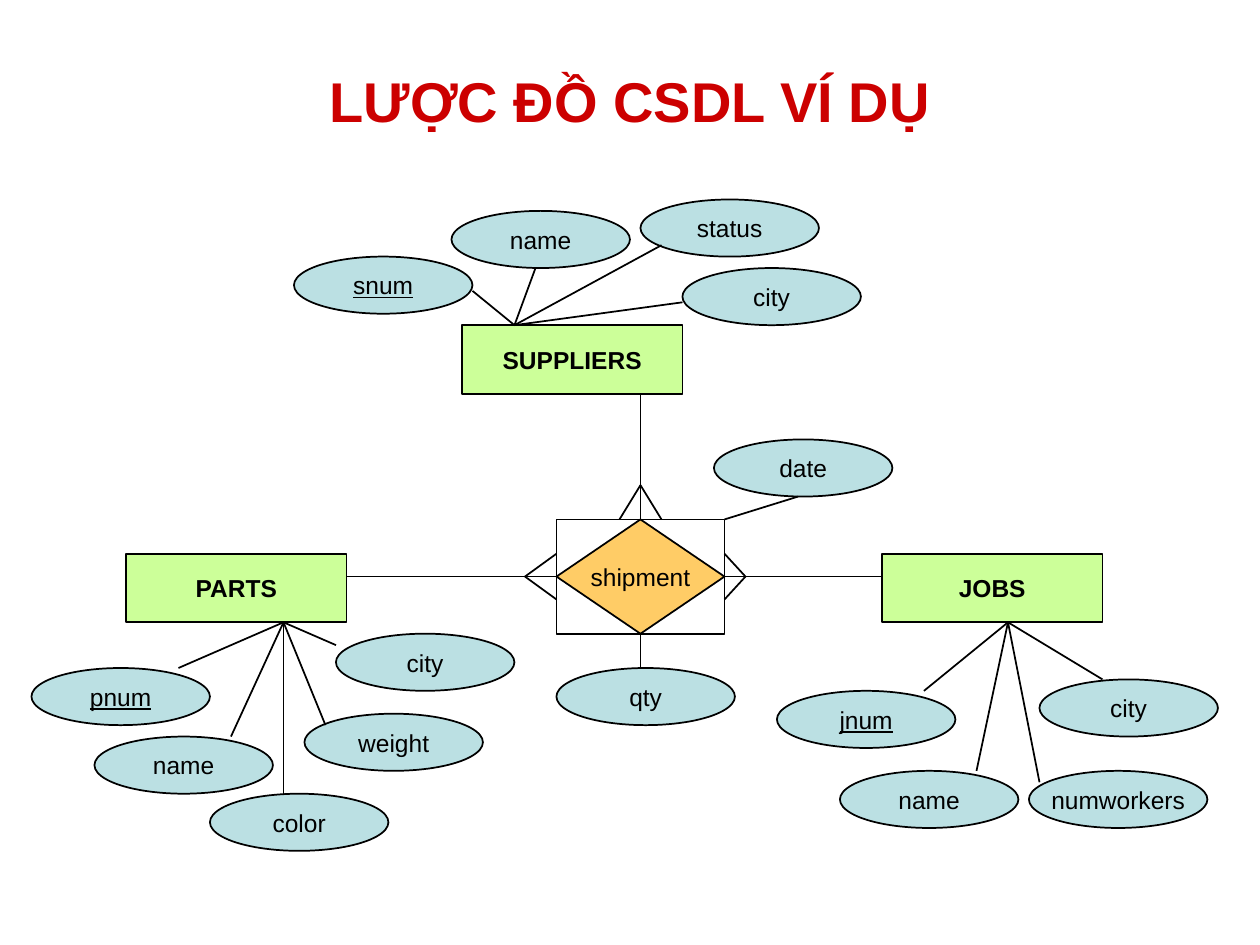
from lxml import etree
from pptx import Presentation
from pptx.dml.color import RGBColor
from pptx.enum.shapes import MSO_CONNECTOR, MSO_SHAPE
from pptx.enum.text import MSO_ANCHOR, PP_ALIGN
from pptx.oxml.ns import qn
from pptx.util import Pt

STRAIGHT = MSO_CONNECTOR.STRAIGHT
OVAL, RECTANGLE, DIAMOND = MSO_SHAPE.OVAL, MSO_SHAPE.RECTANGLE, MSO_SHAPE.DIAMOND
MIDDLE, CENTER = MSO_ANCHOR.MIDDLE, PP_ALIGN.CENTER

ENTITIES = [
    ("SUPPLIERS", (44, 11), (49, 11),
     [("snum", 28, 5), ("name", 43, 1), ("status", 61, 0), ("city", 65, 6)],
     [(45, 8), (51, 6), (63, 4), (65, 9)]),
    ("PARTS", (12, 31), (27, 37),
     [("pnum", 3, 41), ("name", 9, 47), ("color", 20, 52), ("weight", 29, 45), ("city", 32, 38)],
     [(17, 41), (22, 47), (27, 52), (31, 46), (32, 39)]),
    ("JOBS", (84, 31), (96, 37),
     [("jnum", 74, 43), ("name", 80, 50), ("numworkers", 98, 50), ("city", 99, 42)],
     [(88, 43), (93, 50), (99, 51), (105, 42)]),
]
KEYS = {"snum", "pnum", "jnum"}
SHIPMENT_LINKS = [((61, 17), (61, 28)), ((33, 33), (53, 33)), ((69, 33), (84, 33)),
                  ((61, 38), (61, 41)), ((76, 26), (69, 28))]
CROWS_FEET = [((71, 33), (69, 31), (69, 35)),
              ((50, 33), (53, 31), (53, 35)),
              ((61, 25), (59, 28), (63, 28))]


def color(hex_string):
    return RGBColor.from_string(hex_string)


class ErDiagram:
    """Draws entity-relationship elements on a grid of columns and rows."""

    font, ink, stroke = "Arial", "000000", Pt(1)
    column, row, top = 6, 6.53, 114

    def __init__(self, slide):
        self.slide = slide

    def place(self, column, row):
        return Pt(column * self.column), Pt(self.top + row * self.row)

    def label(self, frame, text, size=14, ink=ink, bold=False, underline=False):
        frame.text = text
        frame.vertical_anchor = MIDDLE
        paragraph = frame.paragraphs[0]
        paragraph.alignment = CENTER
        font = paragraph.runs[0].font
        font.name, font.size, font.bold = self.font, Pt(size), bold
        font.underline = underline
        font.color.rgb = color(ink)

    def title(self, text):
        heading = self.slide.shapes.add_textbox(Pt(36), Pt(12.24), Pt(648), Pt(90))
        heading.text_frame.word_wrap = True
        self.label(heading.text_frame, text, 32, "CC0000", True)

    def node(self, kind, corner, columns, rows, fill=None, text="", **style):
        node = self.slide.shapes.add_shape(
            kind, *self.place(*corner), Pt(columns * self.column), Pt(rows * self.row))
        node.shadow.inherit = False
        node.line.color.rgb = color(self.ink)
        node.line.width = self.stroke
        if fill:
            node.fill.solid()
            node.fill.fore_color.rgb = color(fill)
        else:
            node.fill.background()
        if text:
            node.text_frame.word_wrap = False
            self.label(node.text_frame, text, **style)

    def entity(self, name, corner):
        self.node(RECTANGLE, corner, 21, 6, "CCFF99", name, bold=True)

    def attribute(self, name, column, row):
        self.node(OVAL, (column, row), 17, 5, "BBE0E3", name, underline=name in KEYS)

    def relationship(self, name, corner):
        self.node(DIAMOND, corner, 16, 10, "FFCC66", name)
        self.node(RECTANGLE, corner, 16, 10)

    def link(self, start, end):
        link = self.slide.shapes.add_connector(STRAIGHT, *self.place(*start), *self.place(*end))
        link.line.color.rgb = color(self.ink)
        link.line.width = self.stroke
        etree.SubElement(link._element.spPr, qn("a:effectLst"))


def main():
    presentation = Presentation()
    presentation.slide_width, presentation.slide_height = Pt(720), Pt(540)
    diagram = ErDiagram(presentation.slides.add_slide(presentation.slide_layouts[6]))

    diagram.title("LƯỢC ĐỒ CSDL VÍ DỤ")
    for name, corner, hub, attributes, ends in ENTITIES:
        diagram.entity(name, corner)
        for attribute in attributes:
            diagram.attribute(*attribute)
        for end in ends:
            diagram.link(hub, end)

    diagram.relationship("shipment", (53, 28))
    diagram.attribute("qty", 53, 41)
    diagram.attribute("date", 68, 21)
    for start, end in SHIPMENT_LINKS:
        diagram.link(start, end)
    for tip, *toes in CROWS_FEET:
        for toe in toes:
            diagram.link(tip, toe)

    presentation.save("out.pptx")


if __name__ == "__main__":
    main()
